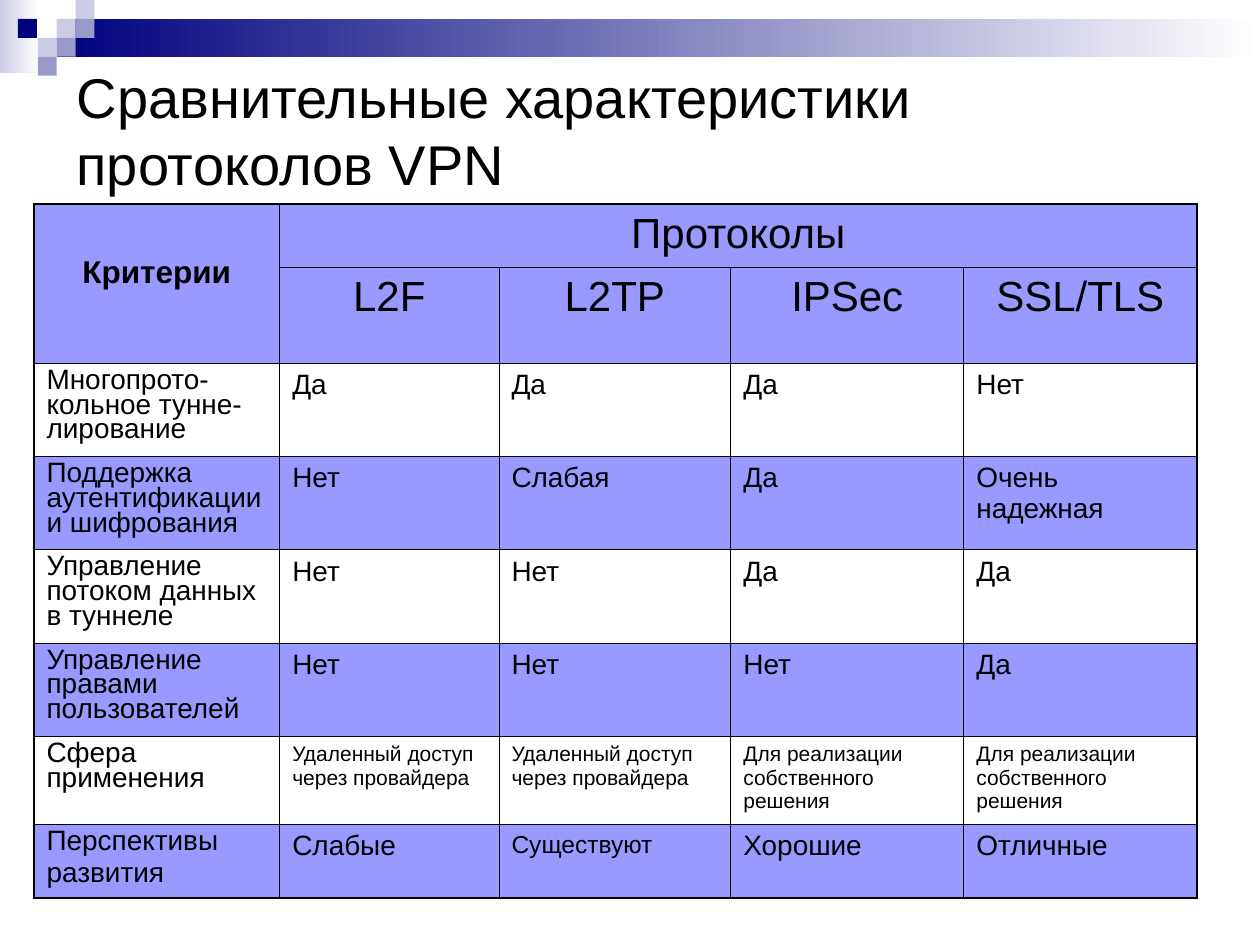
from lxml.etree import SubElement
from pptx import Presentation
from pptx.dml.color import RGBColor
from pptx.enum.shapes import MSO_SHAPE
from pptx.enum.text import MSO_ANCHOR, PP_ALIGN
from pptx.oxml.ns import qn
from pptx.util import Inches, Pt

COLORS = {
    "ink": "000000",
    "paper": "FFFFFF",
    "navy": "00007D",
    "pale": "CCCCE6",
    "lilac": "9999CC",
    "band": "9999FF",
}
SQUARES = [
    (3, 1, "pale"), (4, 0, "pale"), (4, 1, "lilac"), (2, 2, "pale"),
    (0.95, 1, "navy"), (3, 2, "lilac"), (2, 3, "lilac"),
]
COLUMNS = [13, 11.6, 12.27, 12.33, 12.33]
ROWS = [3.33, 5.07, 4.93, 4.93, 4.93, 4.93, 4.67, 3.87]
PROTOCOLS = ["L2F", "L2TP", "IPSec", "SSL/TLS"]
REMOTE = "Удаленный доступ через провайдера"
OWN = "Для реализации собственного решения"
CRITERIA = [
    ("Многопрото-кольное тунне-лирование", "Да", "Да", "Да", "Нет"),
    ("Поддержка аутентификации и шифрования", "Нет", "Слабая", "Да", "Очень надежная"),
    ("Управление потоком данных в туннеле", "Нет", "Нет", "Да", "Да"),
    ("Управление правами пользователей", "Нет", "Нет", "Нет", "Да"),
    ("Сфера применения", REMOTE, REMOTE, OWN, OWN),
    ("Перспективы\nразвития", "Слабые", "Существуют", "Хорошие", "Отличные"),
]
SIZES = {REMOTE: 12, OWN: 12, "Существуют": 14}


class SlideBuilder:
    """Draws styled elements on one slide, measured in grid units of 0.15 inch."""

    def __init__(self, deck, font="Arial", unit=0.15):
        self.page = deck.slides.add_slide(deck.slide_layouts[6])
        self.font = font
        self.unit = unit

    def length(self, units):
        return Inches(self.unit * units)

    def frame(self, *units):
        return [self.length(value) for value in units]

    def color(self, name):
        return RGBColor.from_string(COLORS[name])

    def block(self, column, row, width, height, *colors):
        box = self.page.shapes.add_shape(
            MSO_SHAPE.RECTANGLE, *self.frame(column, row, width, height))
        box.shadow.inherit = False
        box.line.fill.background()
        if len(colors) == 1:
            box.fill.solid()
            box.fill.fore_color.rgb = self.color(colors[0])
            return
        box.fill.gradient()
        box.fill.gradient_angle = 0
        for stop, name in zip(box.fill.gradient_stops, colors):
            stop.color.rgb = self.color(name)

    def text(self, text_frame, content, size, bold=False, align=PP_ALIGN.LEFT, spacing=None):
        text_frame.word_wrap = True
        for index, line in enumerate(content.split("\n")):
            para = text_frame.add_paragraph() if index else text_frame.paragraphs[0]
            para.alignment = align
            if spacing:
                para.line_spacing = spacing
            if index:
                para.space_before = Pt(size / 4)
            span = para.add_run()
            span.text = line
            span.font.name = self.font
            span.font.size = Pt(size)
            span.font.bold = bold
            span.font.color.rgb = self.color("ink")

    def title(self, content, column, row, width, height):
        box = self.page.shapes.add_textbox(*self.frame(column, row, width, height))
        box.text_frame.vertical_anchor = MSO_ANCHOR.MIDDLE
        self.text(box.text_frame, content, 32)

    def borders(self, cell, outer_sides):
        properties = cell._tc.get_or_add_tcPr()
        for side in "LRTB":
            width = Pt(1.08 if side in outer_sides else 0.45)
            line = SubElement(properties, qn(f"a:ln{side}"), w=str(width))
            fill = SubElement(line, qn("a:solidFill"))
            SubElement(fill, qn("a:srgbClr"), val=COLORS["ink"])

    def table(self, column, row, columns, rows):
        frame = self.page.shapes.add_table(
            len(rows), len(columns),
            *self.frame(column, row, sum(columns), sum(rows)))
        table = frame.table
        table.first_row = table.horz_banding = False
        for target, width in zip(table.columns, columns):
            target.width = self.length(width)
        for target, height in zip(table.rows, rows):
            target.height = self.length(height)
        table.cell(0, 0).merge(table.cell(1, 0))
        table.cell(0, 1).merge(table.cell(0, len(columns) - 1))
        for r in range(len(rows)):
            for c in range(len(columns)):
                cell = table.cell(r, c)
                edges = {
                    "L": c == 0,
                    "R": c + cell.span_width == len(columns),
                    "T": r == 0,
                    "B": r + cell.span_height == len(rows),
                }
                self.borders(cell, [side for side, outer in edges.items() if outer])
                cell.fill.solid()
                shade = "band" if r < 2 or r % 2 else "paper"
                cell.fill.fore_color.rgb = self.color(shade)
        return table

    def header(self, table, protocols):
        corner = table.cell(0, 0)
        corner.margin_top = Inches(0.4)
        self.text(corner.text_frame, "Критерии", 18, True, PP_ALIGN.CENTER)
        self.text(table.cell(0, 1).text_frame, "Протоколы", 24, align=PP_ALIGN.CENTER)
        for c, protocol in enumerate(protocols, 1):
            self.text(table.cell(1, c).text_frame, protocol, 24, align=PP_ALIGN.CENTER)

    def body(self, table, criteria):
        for r, values in enumerate(criteria, 2):
            for c, content in enumerate(values):
                size = SIZES.get(content, 16)
                spacing = None if c else 0.8
                self.text(table.cell(r, c).text_frame, content, size, spacing=spacing)


def main():
    deck = Presentation()
    deck.slide_width, deck.slide_height = Inches(10), Inches(7.5)
    builder = SlideBuilder(deck)
    builder.block(0, 0, 2.07, 3.87, "pale", "paper")
    builder.block(3, 1, 63.67, 2, "navy", "paper")
    for column, row, name in SQUARES:
        builder.block(column, row, 1, 1, name)
    builder.title("Сравнительные характеристики протоколов VPN", 3.4, 1.87, 60, 10)
    table = builder.table(1.8, 10.8, COLUMNS, ROWS)
    builder.header(table, PROTOCOLS)
    builder.body(table, CRITERIA)
    deck.save("out.pptx")


if __name__ == "__main__":
    main()
